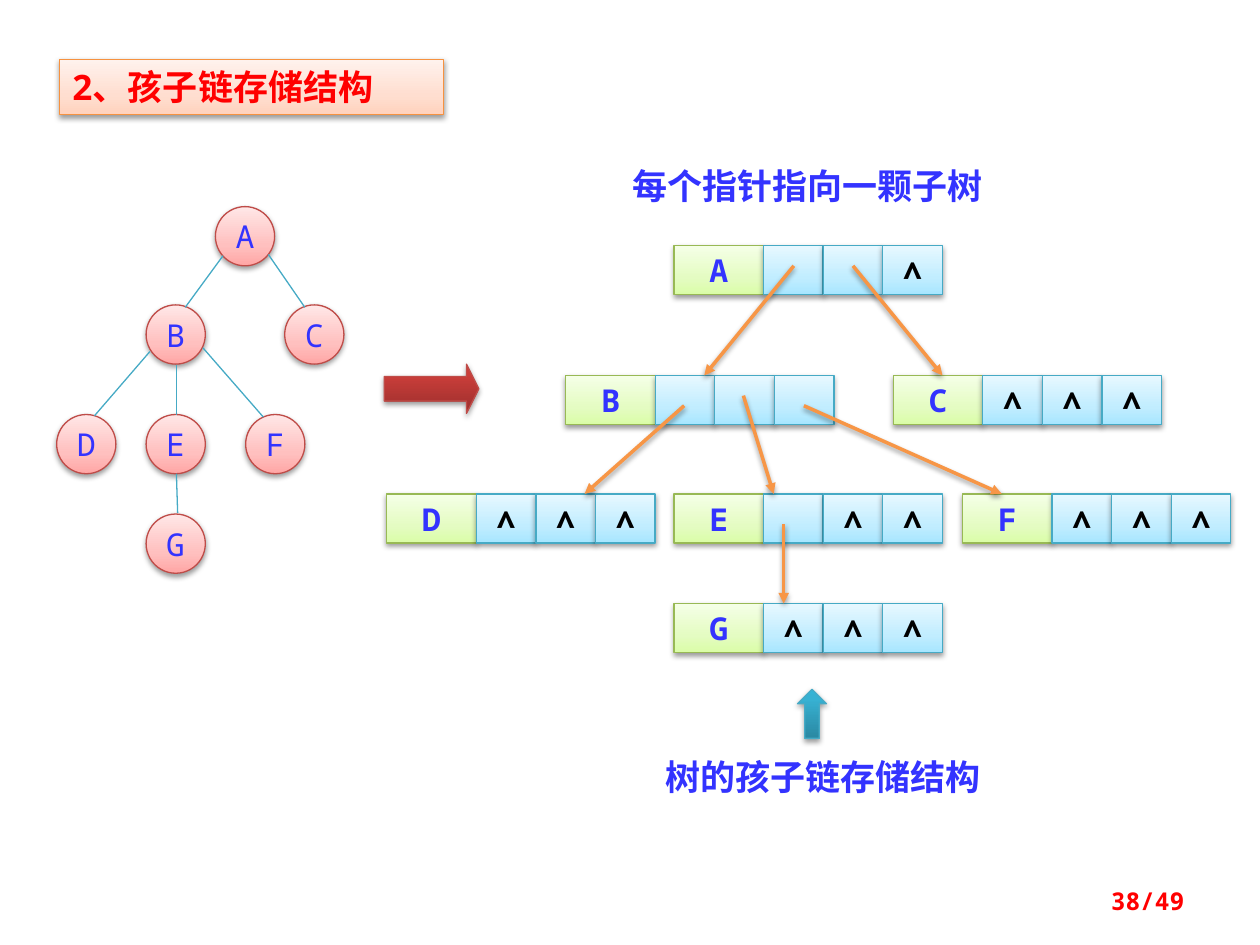
from lxml.etree import SubElement
from pptx import Presentation
from pptx.dml.color import RGBColor
from pptx.enum.shapes import MSO_CONNECTOR, MSO_SHAPE
from pptx.enum.text import MSO_ANCHOR, MSO_AUTO_SIZE, PP_ALIGN
from pptx.oxml.ns import qn
from pptx.util import Inches, Pt

COLORS = {
    "red": "FF0000", "blue": "3333FF", "black": "000000",
    "edge": "46AAC5", "pointer": "F79646",
}
# Line colour, then gradient stops (percent, colour) from bottom to top
STYLES = {
    "title": ("F69240", [(0, "FFD2BD"), (35, "FFDED0"), (100, "FFF2ED")]),
    "node": ("BF4C48", [(0, "FFA6A5"), (35, "FFC0BF"), (100, "FFE7E7")]),
    "name": ("98B955", [(0, "DAFDA7"), (35, "E4FCC2"), (100, "F5FFE7")]),
    "link": ("46AAC5", [(0, "A7E6FF"), (35, "C1EDFF"), (100, "E7F8FF")]),
    "red arrow": ("BF4C48", [(0, "9C2F2D"), (80, "CB3E3A"), (100, "CE3B37")]),
    "blue arrow": ("46AAC5", [(0, "2A88A2"), (80, "37B1D2"), (100, "34B4D6")]),
}
MONO, CJK = "Noto Sans Mono", "Noto Sans CJK SC"
NULL = "∧"
NODE_SIZE = 0.47
NAME_WIDTH, LINK_WIDTH, CELL_HEIGHT = 0.71, 0.473, 0.39

# Tree nodes: label, left, top
NODES = [
    ("A", 1.71, 1.64), ("B", 1.16, 2.42), ("C", 2.26, 2.42), ("D", 0.45, 3.29),
    ("E", 1.16, 3.29), ("F", 1.95, 3.29), ("G", 1.16, 4.08),
]
EDGES = [
    (1.77, 2.03, 1.47, 2.44), (2.13, 2.02, 2.42, 2.44), (1.4, 2.9, 1.4, 3.29),
    (1.19, 2.79, 0.75, 3.3), (1.61, 2.76, 2.09, 3.31), (1.4, 3.76, 1.41, 4.07),
]
# Storage records: label, left, top, contents of the three links
RECORDS = [
    ("A", 5.35, 1.95, ["", "", NULL]),
    ("B", 4.49, 2.98, ["", "", ""]),
    ("C", 7.09, 2.98, [NULL] * 3),
    ("D", 3.07, 3.92, [NULL] * 3),
    ("E", 5.35, 3.92, ["", NULL, NULL]),
    ("F", 7.64, 3.92, [NULL] * 3),
    ("G", 5.35, 4.79, [NULL] * 3),
]
POINTERS = [
    (6.3, 2.11, 5.59, 2.98), (6.77, 2.11, 7.48, 2.98), (5.43, 3.22, 4.64, 3.92),
    (5.9, 3.14, 6.14, 3.92), (6.38, 3.22, 7.95, 3.92), (6.22, 4.16, 6.22, 4.79),
]


def rgb(name):
    return RGBColor.from_string(COLORS[name])


def add_effects(shape, shadow=True):
    """Give the shape an explicit effect list, with a soft shadow or empty."""
    effects = SubElement(shape._element.spPr, qn("a:effectLst"))
    if shadow:
        outer = SubElement(effects, qn("a:outerShdw"), blurRad=str(Pt(3.1)),
                           dist=str(Pt(1.6)), dir="5400000", rotWithShape="0")
        color = SubElement(outer, qn("a:srgbClr"), val=COLORS["black"])
        SubElement(color, qn("a:alpha"), val="38000")


def apply_style(shape, style):
    line_color, stops = STYLES[style]
    shape.fill.gradient()
    shape.fill.gradient_angle = 90
    stop_list = shape._element.spPr.find(".//" + qn("a:gsLst"))
    stop_list.clear()
    for percent, color in stops:
        stop = SubElement(stop_list, qn("a:gs"), pos=str(percent * 1000))
        SubElement(stop, qn("a:srgbClr"), val=color)
    shape.line.color.rgb = RGBColor.from_string(line_color)
    shape.line.width = Pt(0.75)
    add_effects(shape)


def set_text(shape, text, size, color, bold=True, align=PP_ALIGN.CENTER,
             font=MONO, wrap=False):
    frame = shape.text_frame
    frame.auto_size = MSO_AUTO_SIZE.NONE
    frame.word_wrap = wrap
    frame.vertical_anchor = MSO_ANCHOR.MIDDLE
    paragraph = frame.paragraphs[0]
    paragraph.text = text
    paragraph.alignment = align
    paragraph.font.size = Pt(size)
    paragraph.font.bold = bold
    paragraph.font.color.rgb = rgb(color)
    paragraph.font.name = font
    properties = paragraph._p.pPr.find(qn("a:defRPr"))
    SubElement(properties, qn("a:ea"), typeface=CJK)


def add_block(slide, kind, style, left, top, width, height):
    shape = slide.shapes.add_shape(
        kind, Inches(left), Inches(top), Inches(width), Inches(height))
    apply_style(shape, style)
    return shape


def add_label(slide, text, left, top, width, height, **format_options):
    box = slide.shapes.add_textbox(
        Inches(left), Inches(top), Inches(width), Inches(height))
    set_text(box, text, wrap=True, **format_options)


def add_line(slide, ends, color, width, arrow=False):
    connector = slide.shapes.add_connector(
        MSO_CONNECTOR.STRAIGHT, *[Inches(value) for value in ends])
    connector.line.color.rgb = rgb(color)
    connector.line.width = Pt(width)
    if arrow:
        SubElement(connector.line._get_or_add_ln(), qn("a:tailEnd"), type="triangle")
    add_effects(connector, shadow=arrow)


def add_title(slide, text):
    title = slide.shapes.title
    title.left, title.top = Inches(0.47), Inches(0.47)
    title.width, title.height = Inches(3.05), Inches(0.44)
    apply_style(title, "title")
    set_text(title, text, 20, "red", align=PP_ALIGN.LEFT, wrap=True)


def add_node(slide, label, left, top):
    node = add_block(slide, MSO_SHAPE.OVAL, "node", left, top, NODE_SIZE, NODE_SIZE)
    set_text(node, label, 18, "blue", bold=False)


def add_record(slide, label, left, top, links):
    name = add_block(slide, MSO_SHAPE.RECTANGLE, "name",
                     left, top, NAME_WIDTH, CELL_HEIGHT)
    set_text(name, label, 18, "blue")
    for index, content in enumerate(links):
        cell_left = left + NAME_WIDTH + index * LINK_WIDTH
        cell = add_block(slide, MSO_SHAPE.RECTANGLE, "link",
                         cell_left, top, LINK_WIDTH, CELL_HEIGHT)
        if content:
            set_text(cell, content, 18, "black")


def main():
    presentation = Presentation()
    presentation.slide_width, presentation.slide_height = Inches(10), Inches(7.5)
    slide = presentation.slides.add_slide(presentation.slide_layouts[5])
    add_title(slide, "2、孩子链存储结构")

    # Tree on the left
    for node in NODES:
        add_node(slide, *node)
    for ends in EDGES:
        add_line(slide, ends, "edge", 0.75)

    # Linked storage on the right
    arrow = add_block(slide, MSO_SHAPE.RIGHT_ARROW, "red arrow", 3.05, 2.89, 0.75, 0.39)
    arrow.adjustments[1] = 0.25
    for record in RECORDS:
        add_record(slide, *record)
    for ends in POINTERS:
        add_line(slide, ends, "pointer", 2, arrow=True)

    # Captions and page number
    add_label(slide, "每个指针指向一颗子树", 4.92, 1.25, 3.67, 0.44, size=20,
              color="blue", align=PP_ALIGN.LEFT, font=CJK)
    add_label(slide, "树的孩子链存储结构", 4.92, 5.94, 3.23, 0.44, size=20,
              color="blue", font=CJK)
    add_block(slide, MSO_SHAPE.UP_ARROW, "blue arrow", 6.33, 5.47, 0.23, 0.39)
    add_label(slide, "38/49", 7.17, 6.95, 2.33, 0.4, size=14, color="red",
              align=PP_ALIGN.RIGHT)
    presentation.save("out.pptx")


if __name__ == "__main__":
    main()
